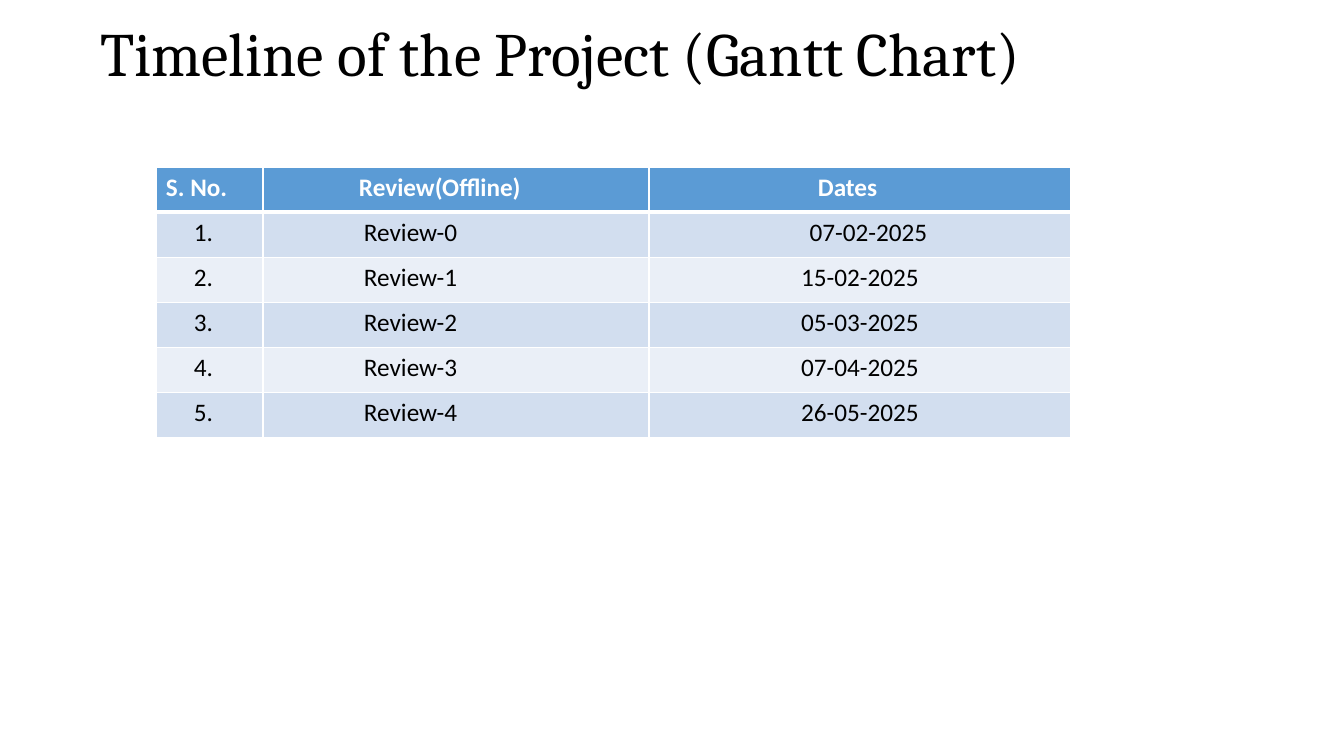
import pptx
import pptx.util
import pptx.dml.color
import pptx.enum.text
import pptx.oxml
import pptx.oxml.ns

EMU_PER_PX = 914400 / 100.8
COLORS = {"black": "000000", "white": "FFFFFF", "header": "5B9BD5",
          "odd": "D2DEEF", "even": "EAEFF7"}
ALIGN = pptx.enum.text.PP_ALIGN
ANCHOR = pptx.enum.text.MSO_ANCHOR

HEADERS = ["S. No.", "Review(Offline)", "Dates"]
DATES = ["07-02-2025", "15-02-2025", "05-03-2025", "07-04-2025", "26-05-2025"]
COLUMN_WIDTHS = [107, 386, 422]
HEADER_INDENTS = [0, 86, 159]
BODY_INDENTS = [28, 91, 0]
FIRST_DATE_INDENT = 17
CELL_MARGIN = 10


def px(n):
    """Turn pixels into EMU."""
    return pptx.util.Emu(round(n * EMU_PER_PX))


def rgb(name):
    """Look up a named colour."""
    return pptx.dml.color.RGBColor.from_string(COLORS[name])


def write(tf, text, font="Calibri", size=18, color="black", bold=False,
          align=ALIGN.LEFT, spacing=1.0):
    """Put one formatted paragraph into a text frame."""
    p = tf.paragraphs[0]
    p.alignment = align
    p.line_spacing = spacing
    r = p.add_run()
    r.text = text
    r.font.name = font
    r.font.size = pptx.util.Pt(size)
    r.font.bold = bold
    r.font.color.rgb = rgb(color)


def set_borders(cell, top=1, bottom=1):
    """Draw white borders, with widths in points, round a cell."""
    tc_pr = cell._tc.get_or_add_tcPr()
    for side, width in (("L", 1), ("R", 1), ("T", top), ("B", bottom)):
        tc_pr.append(pptx.oxml.parse_xml(
            f'<a:ln{side} {pptx.oxml.ns.nsdecls("a")} w="{pptx.util.Pt(width)}">'
            f'<a:solidFill><a:srgbClr val="{COLORS["white"]}"/></a:solidFill>'
            f'</a:ln{side}>'))


def add_title(s, text, x, y, w, h):
    """Place the slide title in its box."""
    sp = s.shapes.title
    sp.left, sp.top, sp.width, sp.height = map(px, (x, y, w, h))
    tf = sp.text_frame
    tf.word_wrap = True
    tf.auto_size = pptx.enum.text.MSO_AUTO_SIZE.NONE
    tf.vertical_anchor = ANCHOR.MIDDLE
    write(tf, text, font="Cambria", size=44, spacing=0.9)


def add_cell(cell, text, row, col):
    """Fill and format one cell of the review table."""
    header = row == 0
    indent = (HEADER_INDENTS if header else BODY_INDENTS)[col]
    if (row, col) == (1, 2):
        indent = FIRST_DATE_INDENT
    cell.margin_left = px(CELL_MARGIN + indent)
    cell.vertical_anchor = ANCHOR.TOP
    set_borders(cell, top=3 if row == 1 else 1, bottom=3 if header else 1)
    cell.fill.solid()
    cell.fill.fore_color.rgb = rgb("header" if header else "odd" if row % 2 else "even")
    write(cell.text_frame, text, color="white" if header else "black", bold=header,
          align=ALIGN.CENTER if col == 2 and not header else ALIGN.LEFT)


def add_reviews(s, x, y, h):
    """Place the table of review dates."""
    rows = [HEADERS] + [[f"{i + 1}.", f"Review-{i}", date] for i, date in enumerate(DATES)]
    table = s.shapes.add_table(len(rows), len(HEADERS), px(x), px(y),
                               px(sum(COLUMN_WIDTHS)), px(h)).table
    table.horz_banding = False
    for column, width in zip(table.columns, COLUMN_WIDTHS):
        column.width = px(width)
    for i, row in enumerate(rows):
        table.rows[i].height = px(h / len(rows))
        for j, text in enumerate(row):
            add_cell(table.cell(i, j), text, i, j)


def main():
    """Build and save the timeline slide."""
    prs = pptx.Presentation()
    prs.slide_width, prs.slide_height = px(1344), px(756)
    s = prs.slides.add_slide(prs.slide_layouts[5])
    add_title(s, "Timeline of the Project (Gantt Chart)", 90, 30, 1176, 53)
    add_reviews(s, 156, 167, 271)
    prs.save("out.pptx")


if __name__ == "__main__":
    main()
